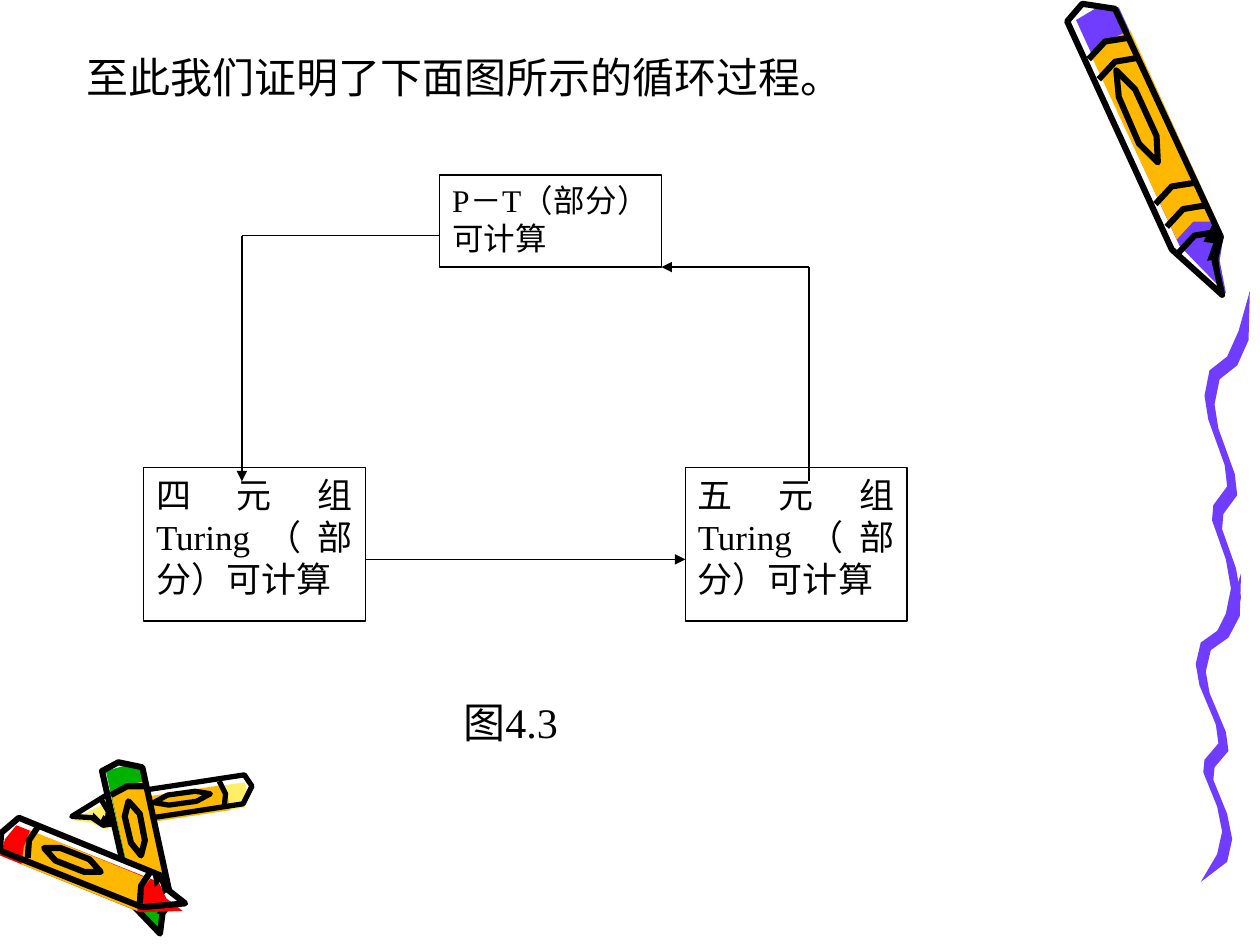
from collections import namedtuple
from math import hypot

from lxml.etree import SubElement
from pptx import Presentation
from pptx.dml.color import RGBColor
from pptx.enum.shapes import MSO_CONNECTOR, MSO_SHAPE
from pptx.enum.text import MSO_ANCHOR, PP_ALIGN
from pptx.oxml.ns import qn
from pptx.util import Pt

PX = 9144
BLACK, WHITE = "000000", "FFFFFF"
PURPLE, ORANGE, YELLOW, RED, GREEN = "703DFF", "FFB800", "FFEF66", "FF0000", "00B200"

Crayon = namedtuple("Crayon", "wax blunt_end tip half_width spill bands pen")
Piece = namedtuple("Piece", "points fill pen closed")


def color(value):
    return RGBColor.from_string(value)


def write(shape, text, size, alignment):
    frame = shape.text_frame
    frame.word_wrap = True
    frame.vertical_anchor = MSO_ANCHOR.TOP
    para = frame.paragraphs[0]
    para.text = text
    para.alignment = alignment
    para.font.size = Pt(size)
    para.font.name = "Times New Roman"
    para.font.color.rgb = color(BLACK)


deck = Presentation()
deck.slide_width = 1000 * PX
deck.slide_height = 750 * PX
page = deck.slides.add_slide(deck.slide_layouts[6])
page.background.fill.solid()
page.background.fill.fore_color.rgb = color(WHITE)

crayons = [
    Crayon(YELLOW, (196, 627), (57, 648), 12, 29, (13, 80), 3),
    Crayon(GREEN, (98, 608), (127, 741), 17, 0, (13, 78), 3.5),
    Crayon(RED, (6, 660), (147, 717), 16, -39, (13, 76), 3.5),
    Crayon(PURPLE, (866, 8), (970, 234), 21, 15, (12, 19, 63, 71, 80), 3.5),
]

# Crayon parts: percent of the length from the blunt end, percent of the half width
shell = [(0, -100), (-3, -20), (3, 85), (83, 85), (89, 30), (100, 0), (80, -100)]
wax = [(1, -85), (0, 0), (3, 85), (83, 85), (90, 30), (100, 0), (80, -85)]
label = [(13, -85), (11, 0), (11, 85), (78, 85), (75, 0), (78, -85)]
oval = [(21, -10), (29, 25), (45, 25), (53, -10), (45, -45), (29, -45)]
tip_shade = [(78, 85), (82, 20), (84, 50), (88, 0), (89, 35), (100, 0), (89, 45), (83, 85)]

pieces = []
for crayon in crayons:
    (start_x, start_y), (tip_x, tip_y) = crayon.blunt_end, crayon.tip
    run, rise = tip_x - start_x, tip_y - start_y
    length = hypot(run, rise)
    across_x = rise / length * crayon.half_width
    across_y = -run / length * crayon.half_width
    rings = [[(band + 2, -85), (band - 1, 0), (band + 1, 85)] for band in crayon.bands]
    parts = [
        (shell, 0, WHITE, 0, True),
        (wax, crayon.spill, crayon.wax, 0, True),
        (label, crayon.spill, ORANGE, 0, True),
        (tip_shade, 0, BLACK, 0, True),
        (shell, 0, None, crayon.pen, True),
        (oval, 0, None, crayon.pen, True),
    ] + [(ring, 0, None, crayon.pen, False) for ring in rings]
    for outline, spill, fill, pen, closed in parts:
        points = []
        for along, across in outline:
            across += spill
            points.append((
                round(start_x + (along * run + across * across_x) / 100),
                round(start_y + (along * rise + across * across_y) / 100)))
        pieces.append(Piece(points, fill, pen, closed))

wave = [(36, 0), (31, 31), (22, 48), (8, 58), (4, 75), (7, 92), (20, 123), (22, 138),
        (11, 151), (10, 161), (21, 188), (25, 208), (21, 226), (4, 245)]
bends = wave[1:-1]
left_side = [(x - 4, y - 3) for x, y in bends]
right_side = [(x + 4, y + 3) for x, y in reversed(bends)]
ribbon = [wave[0]] + left_side + [wave[-1]] + right_side
for left, top, stretch in [(949, 455, 1), (956, 231, 1.15)]:
    points = [(left + x, round(top + y * stretch)) for x, y in ribbon]
    pieces.append(Piece(points, PURPLE, 0, True))

for piece in pieces:
    builder = page.shapes.build_freeform(*piece.points[0], scale=PX)
    builder.add_line_segments(piece.points[1:], close=piece.closed)
    drawing = builder.convert_to_shape()
    drawing.shadow.inherit = False
    if piece.fill:
        drawing.fill.solid()
        drawing.fill.fore_color.rgb = color(piece.fill)
    else:
        drawing.fill.background()
    if piece.pen:
        drawing.line.color.rgb = color(BLACK)
        drawing.line.width = Pt(piece.pen)
    else:
        drawing.line.fill.background()

node_width = 176
top_left, top_top, top_height = 349, 139, 73
four_left, five_left, lower_top, lower_height = 114, 544, 371, 122
nodes = [
    ("P－T（部分）可计算", 18, top_left, top_top, top_height),
    ("四元组Turing（部分）可计算", 20, four_left, lower_top, lower_height),
    ("五元组Turing（部分）可计算", 20, five_left, lower_top, lower_height),
]
for text, size, left, top, height in nodes:
    node = page.shapes.add_shape(
        MSO_SHAPE.RECTANGLE, left * PX, top * PX, node_width * PX, height * PX)
    node.shadow.inherit = False
    node.fill.solid()
    node.fill.fore_color.rgb = color(WHITE)
    node.line.color.rgb = color(BLACK)
    node.line.width = Pt(0.75)
    write(node, text, size, PP_ALIGN.JUSTIFY)

top_right, top_bottom = top_left + node_width, top_top + top_height
lower_end, exit_y, middle_y = lower_top + 11, 187, 444
four_x, five_x = 192, 642
routes = [
    [(five_x, lower_end), (five_x, top_bottom), (top_right, top_bottom)],
    [(top_left, exit_y), (four_x, exit_y), (four_x, lower_end)],
    [(four_left + node_width, middle_y), (five_left, middle_y)],
]
for route in routes:
    for begin, end in zip(route, route[1:]):
        line = page.shapes.add_connector(
            MSO_CONNECTOR.STRAIGHT, *(value * PX for value in begin + end))
        line.line.color.rgb = color(BLACK)
        line.line.width = Pt(0.75)
        if end == route[-1]:
            outline = line._element.spPr.find(qn("a:ln"))
            SubElement(outline, qn("a:tailEnd"), type="triangle")
        SubElement(line._element.spPr, qn("a:effectLst"))

captions = [
    ("至此我们证明了下面图所示的循环过程。", 59, 36, 827),
    ("图4.3", 358, 548, 142),
]
for text, left, top, width in captions:
    box = page.shapes.add_textbox(left * PX, top * PX, width * PX, 50 * PX)
    write(box, text, 24, PP_ALIGN.LEFT)

deck.save("out.pptx")
